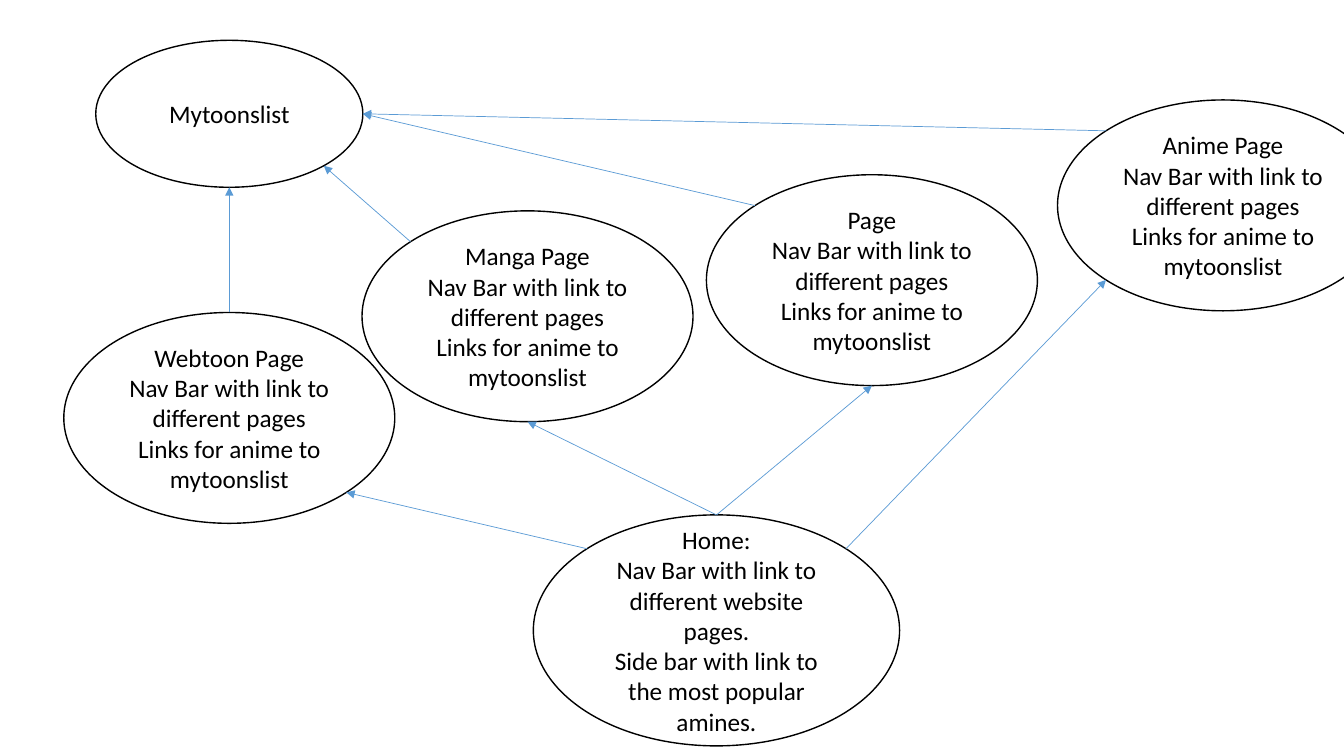
from dataclasses import dataclass

import lxml.etree
import pptx
import pptx.dml.color
import pptx.enum.shapes
import pptx.enum.text
import pptx.oxml.ns
import pptx.util


@dataclass(frozen=True)
class Theme:
    font: str = "Calibri"
    text_size: float = 18
    ink: str = "000000"
    paper: str = "FFFFFF"
    arrow: str = "5B9BD5"
    outline_width: float = 1
    arrow_width: float = 0.5


THEME = Theme()
COLUMNS, ROWS = 16, 9
PAGE_SIZE = (3.94, 2.51)
PAGE_LINES = ["Nav Bar with link to different pages", "Links for anime to mytoonslist"]

BUBBLES = {
    "home": ((6.35, 6.13, 4.36, 2.75), [
        "Home:",
        "Nav Bar with link to different website pages.",
        "Side bar with link to the most popular amines.",
    ]),
    "list": ((1.14, 0.48, 3.18, 1.75), ["Mytoonslist"]),
    "anime": ((12.59, 1.19, *PAGE_SIZE), ["Anime Page", *PAGE_LINES]),
    "page": ((8.41, 2.08, *PAGE_SIZE), ["Page", *PAGE_LINES]),
    "manga": ((4.31, 2.51, *PAGE_SIZE), ["Manga Page", *PAGE_LINES]),
    "webtoon": ((0.76, 3.72, *PAGE_SIZE), ["Webtoon Page", *PAGE_LINES]),
}

LINKS = [
    ("home", "top right", "anime", "bottom left"),
    ("home", "top", "page", "bottom"),
    ("home", "top", "manga", "bottom"),
    ("home", "top left", "webtoon", "bottom right"),
    ("webtoon", "top", "list", "bottom"),
    ("manga", "top left", "list", "bottom right"),
    ("page", "top left", "list", "right"),
    ("anime", "top left", "list", "right"),
]

NEAR = (1 - 0.5 ** 0.5) / 2
FAR = 1 - NEAR
SITES = {
    "top": (0, 0.5, 0),
    "top left": (1, NEAR, NEAR),
    "bottom left": (3, NEAR, FAR),
    "bottom": (4, 0.5, 1),
    "bottom right": (5, FAR, FAR),
    "right": (6, 1, 0.5),
    "top right": (7, FAR, NEAR),
}


def color(value):
    return pptx.dml.color.RGBColor.from_string(value)


def grid_box(box, cells):
    left, top, width, height = box
    column, row, columns, rows = cells
    cell_width, cell_height = width / COLUMNS, height / ROWS
    return (int(left + column * cell_width), int(top + row * cell_height),
            int(columns * cell_width), int(rows * cell_height))


def add_bubble(slide, box, lines):
    bubble = slide.shapes.add_shape(pptx.enum.shapes.MSO_SHAPE.OVAL, *box)
    bubble.shadow.inherit = False
    bubble.fill.solid()
    bubble.fill.fore_color.rgb = color(THEME.paper)
    bubble.line.color.rgb = color(THEME.ink)
    bubble.line.width = pptx.util.Pt(THEME.outline_width)
    frame = bubble.text_frame
    frame.word_wrap = True
    frame.vertical_anchor = pptx.enum.text.MSO_ANCHOR.MIDDLE
    frame.text = "\n".join(lines)
    for para in frame.paragraphs:
        para.alignment = pptx.enum.text.PP_ALIGN.CENTER
        for span in para.runs:
            span.font.name = THEME.font
            span.font.size = pptx.util.Pt(THEME.text_size)
            span.font.color.rgb = color(THEME.ink)
    return bubble


def site_point(bubble, site):
    _, across, down = SITES[site]
    return (int(bubble.left + across * bubble.width),
            int(bubble.top + down * bubble.height))


def add_link(slide, source, source_site, target, target_site):
    link = slide.shapes.add_connector(
        pptx.enum.shapes.MSO_CONNECTOR.STRAIGHT,
        *site_point(source, source_site), *site_point(target, target_site))
    link.line.color.rgb = color(THEME.arrow)
    link.line.width = pptx.util.Pt(THEME.arrow_width)
    qualified = pptx.oxml.ns.qn
    properties = link.element.spPr
    lxml.etree.SubElement(properties.find(qualified("a:ln")),
                          qualified("a:tailEnd"), type="triangle")
    lxml.etree.SubElement(properties, qualified("a:effectLst"))
    joints = link.element.find(".//" + qualified("p:cNvCxnSpPr"))
    for tag, bubble, site in (("a:stCxn", source, source_site),
                              ("a:endCxn", target, target_site)):
        lxml.etree.SubElement(joints, qualified(tag),
                              id=str(bubble.shape_id), idx=str(SITES[site][0]))


def add_site_map(slide, box):
    bubbles = {name: add_bubble(slide, grid_box(box, cells), lines)
               for name, (cells, lines) in BUBBLES.items()}
    for source, source_site, target, target_site in LINKS:
        add_link(slide, bubbles[source], source_site, bubbles[target], target_site)


def main():
    deck = pptx.Presentation()
    deck.slide_width = pptx.util.Inches(13.33)
    deck.slide_height = pptx.util.Inches(7.5)
    slide = deck.slides.add_slide(deck.slide_layouts[6])
    add_site_map(slide, (0, 0, deck.slide_width, deck.slide_height))
    deck.save("out.pptx")


if __name__ == "__main__":
    main()
